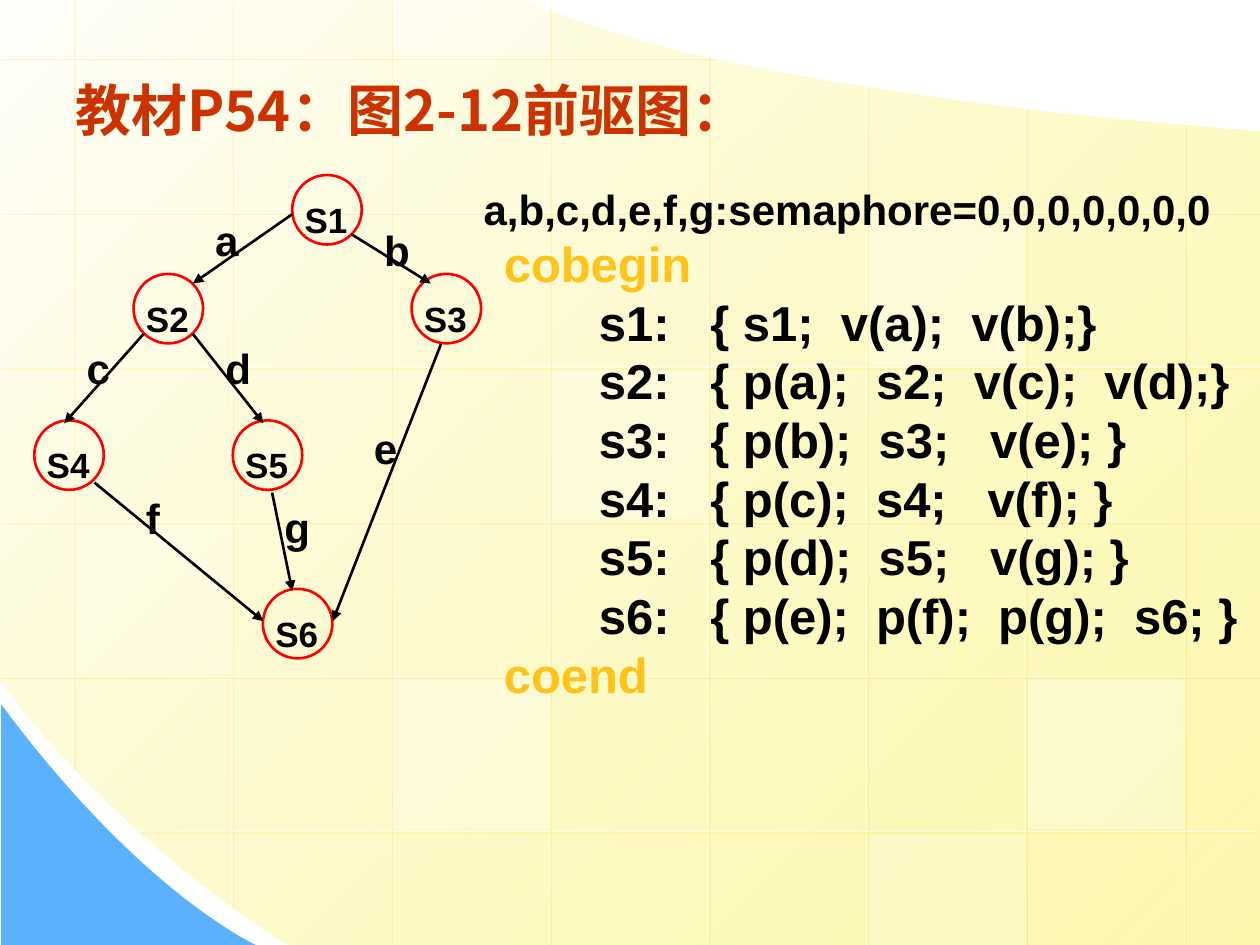
from lxml.etree import SubElement
from pptx import Presentation
from pptx.dml.color import RGBColor
from pptx.enum.shapes import MSO_CONNECTOR, MSO_SHAPE
from pptx.enum.text import MSO_ANCHOR
from pptx.oxml.ns import qn
from pptx.util import Pt


def hue(code):
    return RGBColor.from_string(code)


def fade(clr, part):
    SubElement(clr, qn("a:alpha"), val=str(part * 1000))


def curve(p, q, r, s, steps=40):
    out = []
    for i in range(1, steps + 1):
        t = i / steps
        u = 1 - t
        out.append(tuple(
            u**3 * a + 3 * u * u * t * b + 3 * u * t * t * c + t**3 * d
            for a, b, c, d in zip(p, q, r, s)))
    return out


class Board:
    latin = "Arial"
    title = "Noto Sans CJK SC"
    black = "000000"
    red = "FF0000"
    gold = "FFC319"

    def __init__(self, slide):
        self.slide = slide
        self.shapes = slide.shapes

    def plain(self, shape):
        shape.shadow.inherit = False
        shape.line.fill.background()
        return shape

    def patch(self, start, points):
        pen = self.shapes.build_freeform(Pt(start[0]), Pt(start[1]))
        pen.add_line_segments([(Pt(x), Pt(y)) for x, y in points])
        return self.plain(pen.convert_to_shape())

    def flat(self, shape, code, part=100):
        shape.fill.solid()
        shape.fill.fore_color.rgb = hue(code)
        if part < 100:
            fade(next(shape.element.spPr.iter(qn("a:srgbClr"))), part)

    def blend(self, shape, first, last, part):
        shape.fill.gradient()
        shape.fill.gradient_angle = 315
        stops = shape.fill.gradient_stops
        for stop, code, place in zip(stops, (first, last), (0, 1)):
            stop.color.rgb = hue(code)
            stop.position = place
        fade(list(shape.element.spPr.iter(qn("a:srgbClr")))[-1], part)

    def tile(self, x, y, w, h, part):
        box = self.shapes.add_shape(
            MSO_SHAPE.RECTANGLE, Pt(x), Pt(y), Pt(w), Pt(h))
        self.flat(self.plain(box), "FFFFFF", part)

    def line(self, x, y, x2, y2, code, width):
        con = self.shapes.add_connector(
            MSO_CONNECTOR.STRAIGHT, Pt(x), Pt(y), Pt(x2), Pt(y2))
        con.line.color.rgb = hue(code)
        con.line.width = Pt(width)
        props = con.element.spPr
        return props.find(qn("a:ln")), SubElement(props, qn("a:effectLst"))

    def rule(self, *ends):
        stroke, effect = self.line(*ends, "FFFFFF", 0.75)
        fade(next(stroke.iter(qn("a:srgbClr"))), 50)
        shade = SubElement(effect, qn("a:outerShdw"), dist=str(Pt(1.4)),
                           dir="2700000", algn="ctr", rotWithShape="0")
        fade(SubElement(shade, qn("a:srgbClr"), val="FFCC00"), 34)

    def arrow(self, *ends):
        stroke, effect = self.line(*ends, self.black, 1.5)
        SubElement(stroke, qn("a:tailEnd"), type="triangle")

    def text(self, x, y, w, h, rows, size, lead=None, name=latin, anchor=MSO_ANCHOR.TOP):
        box = self.shapes.add_textbox(Pt(x), Pt(y), Pt(w), Pt(h))
        frame = box.text_frame
        frame.word_wrap = False
        frame.vertical_anchor = anchor
        if lead:
            frame.margin_top = Pt(3.6 + size * 0.06)
        style = {"size": Pt(size), "bold": True, "name": name}
        for i, (words, code) in enumerate(rows):
            para = frame.paragraphs[0] if i == 0 else frame.add_paragraph()
            if lead:
                para.line_spacing = Pt(lead)
            run = para.add_run()
            run.text = words
            for key, value in style.items():
                setattr(run.font, key, value)
            run.font.color.rgb = hue(code)
        for props in box.element.iter(qn("a:rPr")):
            SubElement(props, qn("a:ea"), typeface=name)

    def label(self, x, y, w, h, words, size):
        self.text(x, y, w, h, [(words, self.black)], size, size * 2.4)

    def node(self, x, y, words):
        ring = self.shapes.add_shape(
            MSO_SHAPE.OVAL, Pt(x), Pt(y), Pt(39.7), Pt(39.7))
        ring.shadow.inherit = False
        ring.fill.background()
        ring.line.color.rgb = hue(self.red)
        ring.line.width = Pt(1.5)
        self.label(x, y - 15.5, 51, 55.4, words, 20)


def scene(board):
    paper = [(720, 540), (165.6, 540)]
    paper += curve(paper[-1], (61.9, 475.9), (-0.7, 388.1), (0, 388.1))
    paper += [(-0.7, -0.7), (303.1, 0.7)]
    paper += curve(paper[-1], (303.1, 0.7), (386.6, 49.7), (720, 74.9))
    board.blend(board.patch((720, 74.9), paper), "FFFFFB", "FDF58D", 70)
    wave = [(0.7, 540), (146.2, 540)]
    wave += curve(wave[-1], (146.2, 540), (80.6, 510.5), (0.7, 402.5))
    board.flat(board.patch((0.7, 402.5), wave), "5CB1FE")

    left, top, wide, high = 41.8, 33.1, 90.7, 88.4
    spans = [(0, 438.5), (0, 517.7), (0, 540), (0, 540),
             (31, 540), (49, 540), (61.2, 540), (70.6, 540)]
    for i, (y, y2) in enumerate(spans):
        x = left + i * wide
        board.rule(x, y, x, y2)
    spans = [(409, 0)] + [(720, 0)] * 4 + [(718, 80)]
    for i, (x, x2) in enumerate(spans):
        y = top + i * high
        board.rule(x, y, x2, y)
    tiles = [(3, 2, 25), (6, 4, 30), (0, 3, 20), (5, 5, 20),
             (2, -1, 40), (2, 4, 30), (5, 1, 30)]
    for col, row, part in tiles:
        y = top + row * high + 1.8
        start, end = max(0, y), min(540, y + 85)
        board.tile(left + col * wide + 1.4, start, 88.6, end - start, part)


def graph(board):
    nodes = [(167, 100), (76.3, 156.5), (235.2, 156.5),
             (19.6, 240.2), (133, 240.2), (150.2, 336.5)]
    for i, (x, y) in enumerate(nodes, 1):
        board.node(x, y, f"S{i}")
    edges = [(167, 122.4, 110.2, 162), (200.9, 133.9, 246.2, 162),
             (82.1, 190.8, 36.7, 241.9), (110.2, 190.8, 150.5, 241.9),
             (252, 196.6, 190.1, 355), (54, 275.8, 150.5, 355),
             (155.5, 281.5, 167, 337.7)]
    for ends in edges:
        board.arrow(*ends)
    marks = [(115.9, 88.6), (212.4, 94.3), (42.5, 162), (121.7, 162),
             (206.6, 207.4), (76.3, 247.7), (155.5, 252.7)]
    for mark, (x, y) in zip("abcdefg", marks):
        board.label(x, y, 33.8, 64.8, mark, 24)


def listing(board):
    board.label(269.3, 71.3, 442, 64.8,
                "a,b,c,d,e,f,g:semaphore=0,0,0,0,0,0,0", 24)
    body = ["       s1:   { s1;  v(a);  v(b);}",
            "       s2:   { p(a);  s2;  v(c);  v(d);}",
            "       s3:   { p(b);  s3;   v(e); }",
            "       s4:   { p(c);  s4;   v(f); }",
            "       s5:   { p(d);  s5;   v(g); }",
            "       s6:   { p(e);  p(f);  p(g);  s6; }"]
    rows = [("cobegin", board.gold)]
    rows += [(row, board.black) for row in body]
    rows += [("coend", board.gold)]
    board.text(280.8, 128.2, 442, 309.6, rows, 28, 33.54)


def main():
    deck = Presentation()
    deck.slide_width, deck.slide_height = Pt(720), Pt(540)
    board = Board(deck.slides.add_slide(deck.slide_layouts[6]))
    scene(board)
    board.text(36, 25.9, 648, 72.7, [("教材P54：图2-12前驱图：", "CC3300")], 32,
               name=board.title, anchor=MSO_ANCHOR.MIDDLE)
    graph(board)
    listing(board)
    deck.save("out.pptx")


if __name__ == "__main__":
    main()
